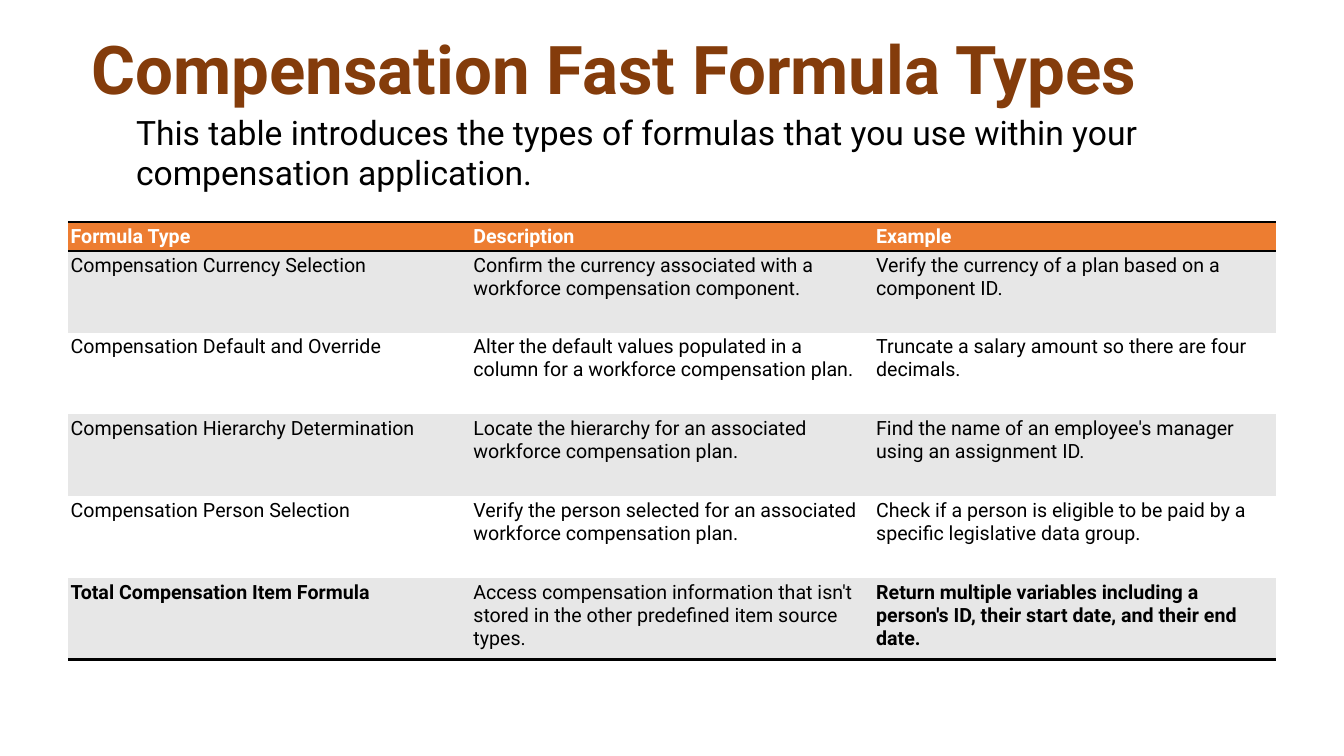
from lxml.etree import SubElement
from pptx import Presentation
from pptx.dml.color import RGBColor
from pptx.enum.text import MSO_ANCHOR as Anchor, MSO_AUTO_SIZE as AutoSize
from pptx.oxml.ns import qn
from pptx.util import Cm, Pt

TITLE = "Compensation Fast Formula Types"
INTRO = ("This table introduces the types of formulas that you use within your "
         "compensation application.")
ROWS = [
    ("Formula Type", "Description", "Example"),
    ("Compensation Currency Selection",
     "Confirm the currency associated with a workforce compensation component.",
     "Verify the currency of a plan based on a component ID."),
    ("Compensation Default and Override",
     "Alter the default values populated in a column for a workforce compensation plan.",
     "Truncate a salary amount so there are four decimals."),
    ("Compensation Hierarchy Determination",
     "Locate the hierarchy for an associated workforce compensation plan.",
     "Find the name of an employee's manager using an assignment ID."),
    ("Compensation Person Selection",
     "Verify the person selected for an associated workforce compensation plan.",
     "Check if a person is eligible to be paid by a specific legislative data group."),
    ("Total Compensation Item Formula",
     "Access compensation information that isn't stored in the other predefined item source types.",
     "Return multiple variables including a person's ID, their start date, and their end date."),
]
LAST = len(ROWS) - 1
BOLD_CELLS = {(0, 0), (0, 1), (0, 2), (LAST, 0), (LAST, 2)}
COLORS = {"title": "843C0B", "text": "000000", "header": "ED7D31",
          "band": "E7E7E7", "white": "FFFFFF"}
FONT = "Roboto"
NO_GRID_STYLE = "{2D5ABB26-0587-4C30-8999-92F81FD0307C}"
COLUMN_WIDTH = Cm(10.15)
HEADER_HEIGHT, ROW_HEIGHT = Cm(0.73), Cm(2.06)
CELL_MARGIN = Cm(0.07)


def color(name):
    return RGBColor.from_string(COLORS[name])


def write(frame, text, size, color_name, bold=False):
    frame.text = text
    font = frame.paragraphs[0].runs[0].font
    font.name, font.size, font.bold = FONT, Pt(size), bold
    font.color.rgb = color(color_name)


def add_text(slide, place, *style):
    box = slide.shapes.add_textbox(*map(Cm, place))
    box.text_frame.word_wrap = True
    box.text_frame.auto_size = AutoSize.SHAPE_TO_FIT_TEXT
    write(box.text_frame, *style)


def add_rule(cell, side):
    """Draw a black 2 pt border; side is lnT or lnB, top before bottom."""
    properties = cell._tc.get_or_add_tcPr()
    line = SubElement(properties, qn(f"a:{side}"), w=str(Pt(2)))
    fill = SubElement(line, qn("a:solidFill"))
    SubElement(fill, qn("a:srgbClr"), val=COLORS["text"])


def add_formula_table(slide):
    columns = len(ROWS[0])
    frame = slide.shapes.add_table(
        len(ROWS), columns, Cm(1.71), Cm(5.59),
        COLUMN_WIDTH * columns, HEADER_HEIGHT + ROW_HEIGHT * LAST)
    table = frame.table
    table._tbl.tblPr.find(qn("a:tableStyleId")).text = NO_GRID_STYLE
    for column in table.columns:
        column.width = COLUMN_WIDTH
    for r, texts in enumerate(ROWS):
        is_header = r == 0
        table.rows[r].height = HEADER_HEIGHT if is_header else ROW_HEIGHT
        background = "header" if is_header else ("white", "band")[r % 2]
        for c, text in enumerate(texts):
            cell = table.cell(r, c)
            write(cell.text_frame, text, 14, "white" if is_header else "text",
                  (r, c) in BOLD_CELLS)
            cell.margin_left = cell.margin_right = CELL_MARGIN
            cell.margin_top = cell.margin_bottom = CELL_MARGIN
            cell.vertical_anchor = Anchor.BOTTOM if is_header else Anchor.TOP
            if is_header:
                add_rule(cell, "lnT")
            if r in (0, LAST):
                add_rule(cell, "lnB")
            cell.fill.solid()
            cell.fill.fore_color.rgb = color(background)


def main():
    deck = Presentation()
    deck.slide_width, deck.slide_height = Cm(33.87), Cm(19.05)
    slide = deck.slides.add_slide(deck.slide_layouts[6])
    add_text(slide, (2.06, 0.56, 29.74, 2.31), TITLE, 48, "title", True)
    add_text(slide, (3.18, 2.69, 27.51, 2.31), INTRO, 24, "text")
    add_formula_table(slide)
    deck.save("out.pptx")


if __name__ == "__main__":
    main()
